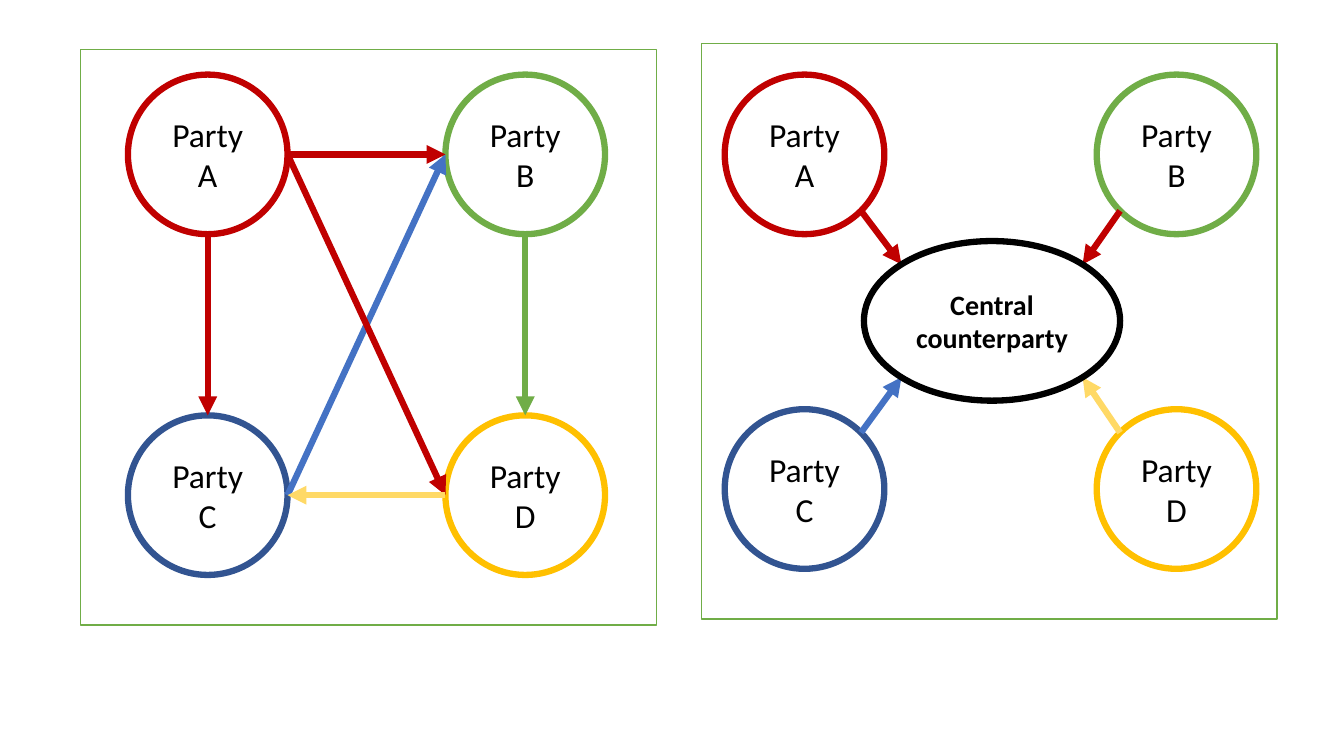
from collections import namedtuple

from lxml import etree
from pptx import Presentation
from pptx.dml.color import RGBColor
from pptx.enum.shapes import MSO_CONNECTOR as Connector, MSO_SHAPE as Shape
from pptx.enum.text import MSO_ANCHOR as Anchor, PP_ALIGN as Align
from pptx.oxml.ns import qn
from pptx.util import Pt

Box = namedtuple("Box", "left top width height")

RED, GREEN, BLUE, YELLOW = "C00000", "70AD47", "4472C4", "FFD966"
BLACK, WHITE = "000000", "FFFFFF"
PARTIES = {"A": (0, 0, RED, WHITE), "C": (0, 1, "325491", None),
           "D": (1, 1, "FFC000", WHITE), "B": (1, 0, GREEN, WHITE)}
DIAMETER = 114
DIAGONAL = 0.5 ** 0.5
FRAME_SIZE = 411.2


def color(value):
    """Turn a hex string into a colour."""
    return RGBColor.from_string(value)


def write(shape, text, size=24, bold=False):
    """Centre formatted text in a shape."""
    frame = shape.text_frame
    frame.word_wrap = True
    frame.vertical_anchor = Anchor.MIDDLE
    para = frame.paragraphs[0]
    para.alignment = Align.CENTER
    span = para.add_run()
    span.text = text
    font = span.font
    font.name, font.size, font.bold = "Calibri", Pt(size), bold
    font.color.rgb = color(BLACK)


def add_outline(page, kind, box, line, fill=None, weight=4.5):
    """Draw an outlined shape with an optional fill."""
    shape = page.shapes.add_shape(kind, *map(Pt, box))
    shape.shadow.inherit = False
    if fill:
        shape.fill.solid()
        shape.fill.fore_color.rgb = color(fill)
    else:
        shape.fill.background()
    shape.line.color.rgb = color(line)
    shape.line.width = Pt(weight)
    return shape


def rim(box, across, down):
    """Find the point on an ellipse in a direction from its centre."""
    return (box.left + box.width * (1 + across) / 2,
            box.top + box.height * (1 + down) / 2)


def add_arrow(page, start, end, line):
    """Draw a thick arrow between two points."""
    arrow = page.shapes.add_connector(Connector.STRAIGHT, *map(Pt, start + end))
    arrow.line.color.rgb = color(line)
    arrow.line.width = Pt(4.5)
    etree.SubElement(arrow.line._get_or_add_ln(), qn("a:tailEnd"), type="triangle")
    etree.SubElement(arrow._element.spPr, qn("a:effectLst"))


def add_parties(page, frame, margin, step):
    """Place the four parties in a two by two grid and return their boxes."""
    boxes = {}
    for name, (column, row, line, fill) in PARTIES.items():
        box = Box(frame.left + margin[0] + column * step[0],
                  frame.top + margin[1] + row * step[1], DIAMETER, DIAMETER)
        write(add_outline(page, Shape.OVAL, box, line, fill), f"Party {name}")
        boxes[name] = box
    return boxes


def add_bilateral(page, frame):
    """Draw the parties trading directly with one another."""
    boxes = add_parties(page, frame, (33.8, 18), (226.8, 243.4))
    left, right, top, bottom = (-1, 0), (1, 0), (0, -1), (0, 1)
    for source, leave, target, enter, line in (
            ("A", right, "B", left, RED),
            ("B", bottom, "D", top, GREEN),
            ("C", right, "B", left, BLUE),
            ("A", bottom, "C", top, RED),
            ("A", right, "D", left, RED),
            ("D", left, "C", right, YELLOW)):
        add_arrow(page, rim(boxes[source], *leave), rim(boxes[target], *enter), line)


def add_cleared(page, frame):
    """Draw the parties trading through a central counterparty."""
    boxes = add_parties(page, frame, (16.6, 22.3), (265.7, 239))
    hub = Box(frame.left + 116, frame.top + 141.2, 183, DIAMETER)
    for name, line in (("B", RED), ("C", BLUE), ("A", RED), ("D", YELLOW)):
        column, row = PARTIES[name][:2]
        across, down = (1 - 2 * column) * DIAGONAL, (1 - 2 * row) * DIAGONAL
        add_arrow(page, rim(boxes[name], across, down), rim(hub, -across, -down), line)
    oval = add_outline(page, Shape.OVAL, hub, BLACK, WHITE)
    write(oval, "Central counterparty", size=20, bold=True)


def main():
    """Build and save the deck."""
    deck = Presentation()
    deck.slide_width, deck.slide_height = Pt(960), Pt(540)
    page = deck.slides.add_slide(deck.slide_layouts[6])
    bilateral = Box(57.6, 35.3, FRAME_SIZE, FRAME_SIZE)
    cleared = Box(501.1, 31, FRAME_SIZE, FRAME_SIZE)
    add_bilateral(page, bilateral)
    add_cleared(page, cleared)
    for frame in (cleared, bilateral):
        add_outline(page, Shape.RECTANGLE, frame, GREEN, weight=1)
    deck.save("out.pptx")


if __name__ == "__main__":
    main()
